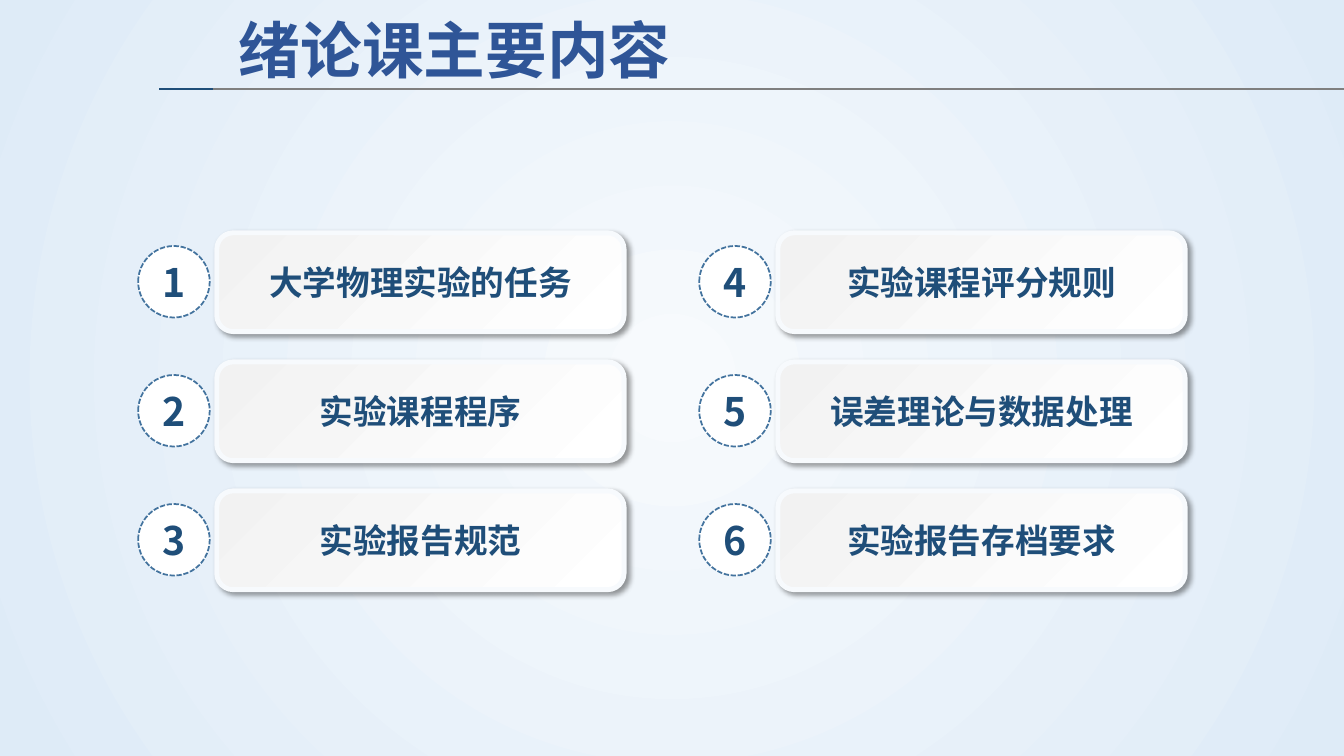
"""Build the contents slide of the introductory physics lab lecture."""
import lxml.etree
import pptx
import pptx.dml.color
import pptx.enum.dml
import pptx.enum.shapes
import pptx.enum.text
import pptx.oxml
import pptx.oxml.ns
import pptx.util

Inches = pptx.util.Inches
Pt = pptx.util.Pt
RGBColor = pptx.dml.color.RGBColor
SHAPE = pptx.enum.shapes.MSO_SHAPE
ALIGN = pptx.enum.text.PP_ALIGN
qn = pptx.oxml.ns.qn

FONT = "Noto Sans CJK SC"
NAVY = RGBColor(0x1F, 0x4E, 0x79)
BLUE = RGBColor(0x2F, 0x55, 0x97)
RING = RGBColor(0x43, 0x73, 0x9E)
GREY = RGBColor(0x7F, 0x7F, 0x7F)
PALE = RGBColor(0xF2, 0xF2, 0xF2)
WHITE = RGBColor(0xFF, 0xFF, 0xFF)
MIST = RGBColor(0xF7, 0xFA, 0xFD)
SKY = RGBColor(0xDE, 0xEB, 0xF7)

SHADOW = (
    f'<a:outerShdw {pptx.oxml.ns.nsdecls("a")} blurRad="{Pt(4)}" dist="{Pt(3)}" '
    'dir="2700000" algn="tl" rotWithShape="0">'
    '<a:srgbClr val="000000"><a:alpha val="40000"/></a:srgbClr></a:outerShdw>'
)


def write(shape, text, size, color=NAVY, align=ALIGN.CENTER):
    frame = shape.text_frame
    frame.word_wrap = True
    frame.vertical_anchor = pptx.enum.text.MSO_ANCHOR.MIDDLE
    para = frame.paragraphs[0]
    para.alignment = align
    run = para.add_run()
    run.text = text
    run.font.size = Pt(size)
    run.font.bold = True
    run.font.name = FONT
    run.font.color.rgb = color
    east = lxml.etree.SubElement(run.font._element, qn("a:ea"))
    east.set("typeface", FONT)


def blend(fill, start, end):
    fill.gradient()
    for stop, color in zip(fill.gradient_stops, (start, end)):
        stop.color.rgb = color


deck = pptx.Presentation()
deck.slide_width = Inches(13.33)
deck.slide_height = Inches(7.5)
slide = deck.slides.add_slide(deck.slide_layouts[5])

blend(slide.background.fill, MIST, SKY)
grad = slide.background._cSld.find(".//" + qn("a:gradFill"))
grad.remove(grad.find(qn("a:lin")))
round_path = lxml.etree.SubElement(grad, qn("a:path"), path="circle")
lxml.etree.SubElement(round_path, qn("a:fillToRect"),
                      l="50000", t="50000", r="50000", b="50000")

for left, color in ((1.58, NAVY), (2.11, GREY)):
    rule = slide.shapes.add_connector(
        pptx.enum.shapes.MSO_CONNECTOR.STRAIGHT,
        Inches(left), Inches(0.88), Inches(13.33), Inches(0.88))
    rule.line.color.rgb = color
    rule.line.width = Pt(1.25)
    lxml.etree.SubElement(rule._element.spPr, qn("a:effectLst"))

title = slide.shapes.title
title.left, title.top = Inches(2.27), Inches(0.06)
title.width, title.height = Inches(4.96), Inches(0.84)
title.text_frame.auto_size = pptx.enum.text.MSO_AUTO_SIZE.NONE
write(title, "绪论课主要内容", size=44, color=BLUE, align=ALIGN.LEFT)

topics = [
    "大学物理实验的任务", "实验课程程序", "实验报告规范",
    "实验课程评分规则", "误差理论与数据处理", "实验报告存档要求",
]
for index, topic in enumerate(topics):
    col, row = divmod(index, 3)
    left = 1.37 + 5.565 * col
    top = 2.31 + 1.28 * row
    group = slide.shapes.add_group_shape()

    card = group.shapes.add_shape(
        SHAPE.ROUNDED_RECTANGLE,
        Inches(left + 0.78), Inches(top), Inches(4.04), Inches(0.98))
    blend(card.fill, PALE, WHITE)
    card.fill.gradient_angle = 315
    card.line.color.rgb = MIST
    card.line.width = Pt(3.5)
    card.shadow.inherit = False
    effects = card._element.spPr.find(qn("a:effectLst"))
    effects.append(pptx.oxml.parse_xml(SHADOW))
    write(card, topic, size=24)

    badge = group.shapes.add_shape(
        SHAPE.OVAL,
        Inches(left), Inches(top + 0.13), Inches(0.71), Inches(0.71))
    badge.fill.solid()
    badge.fill.fore_color.rgb = WHITE
    badge.line.color.rgb = RING
    badge.line.width = Pt(1.25)
    badge.line.dash_style = pptx.enum.dml.MSO_LINE.SQUARE_DOT
    badge.shadow.inherit = False
    write(badge, str(index + 1), size=28)

deck.save("out.pptx")
